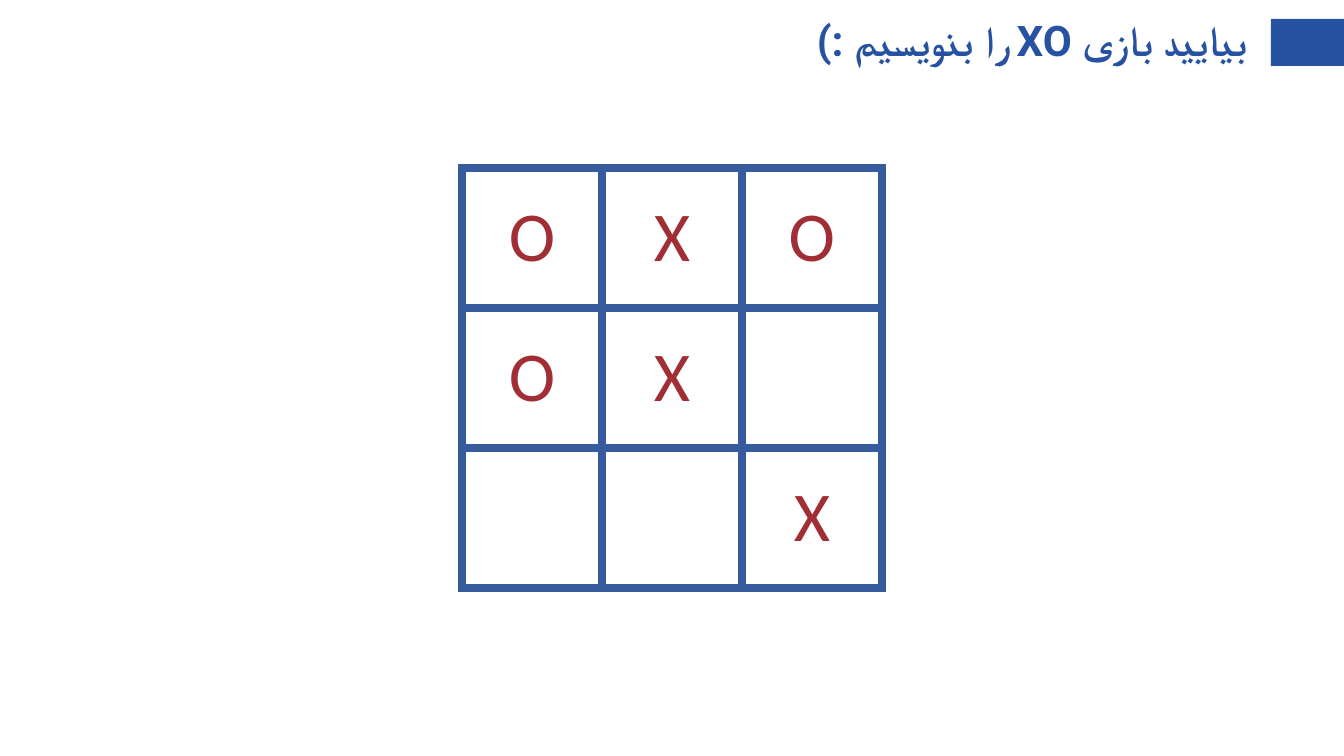
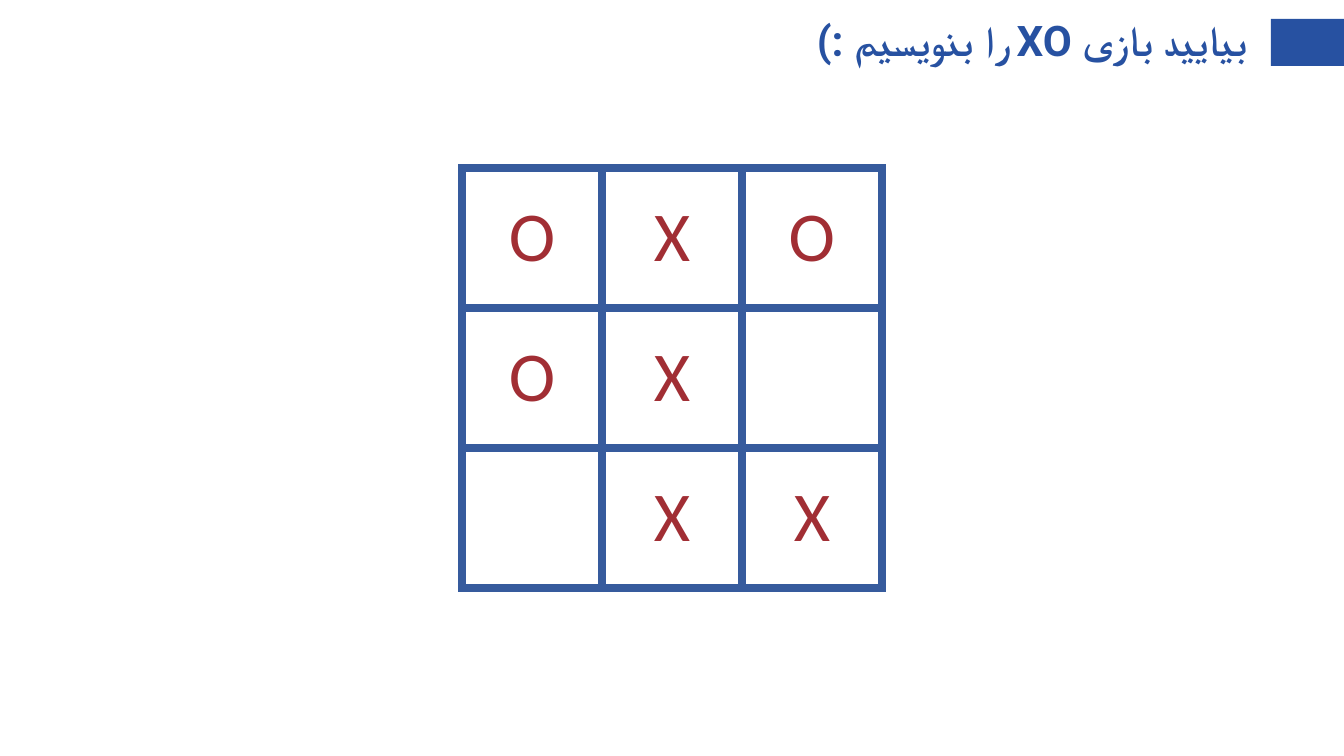
"""Build two slides that show successive states of an XO board."""
import pptx
import pptx.util
import pptx.dml.color
import pptx.enum.shapes
import pptx.enum.text
import pptx.oxml.ns
import lxml.etree

SCALE = 12192000 / 1344
COLORS = {"title": "2751A1", "grid": "365B9D", "mark": "A12E34", "cell": "FFFFFF"}
TITLE = "بیایید بازی XO را بنویسیم :)"
BOARDS = [
    ["OXO", "OX ", "  X"],
    ["OXO", "OX ", " XX"],
]
CELL = 140
SIDE = 3 * CELL
ALIGN = pptx.enum.text.PP_ALIGN
MIDDLE = pptx.enum.text.MSO_ANCHOR.MIDDLE
qn = pptx.oxml.ns.qn


def px(*sizes):
    return [pptx.util.Emu(round(size * SCALE)) for size in sizes]


def write(par, text, font, size, color, bold=False):
    run = par.add_run()
    run.text = text
    run.font.name = font
    run.font.size = pptx.util.Pt(size)
    run.font.bold = bold
    run.font.color.rgb = pptx.dml.color.RGBColor.from_string(COLORS[color])
    return run


deck = pptx.Presentation()
deck.slide_width, deck.slide_height = px(1344, 756)

for board in BOARDS:
    slide = deck.slides.add_slide(deck.slide_layouts[6])

    bar = slide.shapes.add_shape(
        pptx.enum.shapes.MSO_SHAPE.RECTANGLE, *px(1271, 19, 73, 47))
    bar.shadow.inherit = False
    bar.fill.solid()
    bar.fill.fore_color.rgb = pptx.dml.color.RGBColor.from_string(COLORS["title"])
    bar.line.fill.background()

    frame = slide.shapes.add_textbox(*px(93, 5, 1159, 76)).text_frame
    frame.word_wrap = True
    frame.vertical_anchor = MIDDLE
    frame.margin_left, frame.margin_right, frame.margin_top, frame.margin_bottom = px(5, 5, 5, 5)
    par = frame.paragraphs[0]
    par.alignment = ALIGN.RIGHT
    par.line_spacing = 0.9
    par.space_before = pptx.util.Pt(9)
    par._p.get_or_add_pPr().set("rtl", "1")
    run = write(par, TITLE, "Roboto", 30.1, "title", True)
    lxml.etree.SubElement(run.font._element, qn("a:cs"), typeface="Roboto")

    table = slide.shapes.add_table(3, 3, *px(462, 168, SIDE, SIDE)).table
    table.first_row = False
    table.horz_banding = False
    for row, marks in enumerate(board):
        for col, mark in enumerate(marks):
            cell = table.cell(row, col)
            cell.fill.solid()
            cell.fill.fore_color.rgb = pptx.dml.color.RGBColor.from_string(COLORS["cell"])
            cell.vertical_anchor = MIDDLE
            cell.margin_left = cell.margin_right = cell.margin_top = cell.margin_bottom = 0
            props = cell._tc.get_or_add_tcPr()
            for order, side in enumerate("LRTB"):
                line = lxml.etree.Element(qn("a:ln" + side), w=str(pptx.util.Pt(6)))
                fill = lxml.etree.SubElement(line, qn("a:solidFill"))
                lxml.etree.SubElement(fill, qn("a:srgbClr"), val=COLORS["grid"])
                props.insert(order, line)
            if mark != " ":
                par = cell.text_frame.paragraphs[0]
                par.alignment = ALIGN.CENTER
                write(par, mark, "Calibri", 50, "mark")

deck.save("out.pptx")
